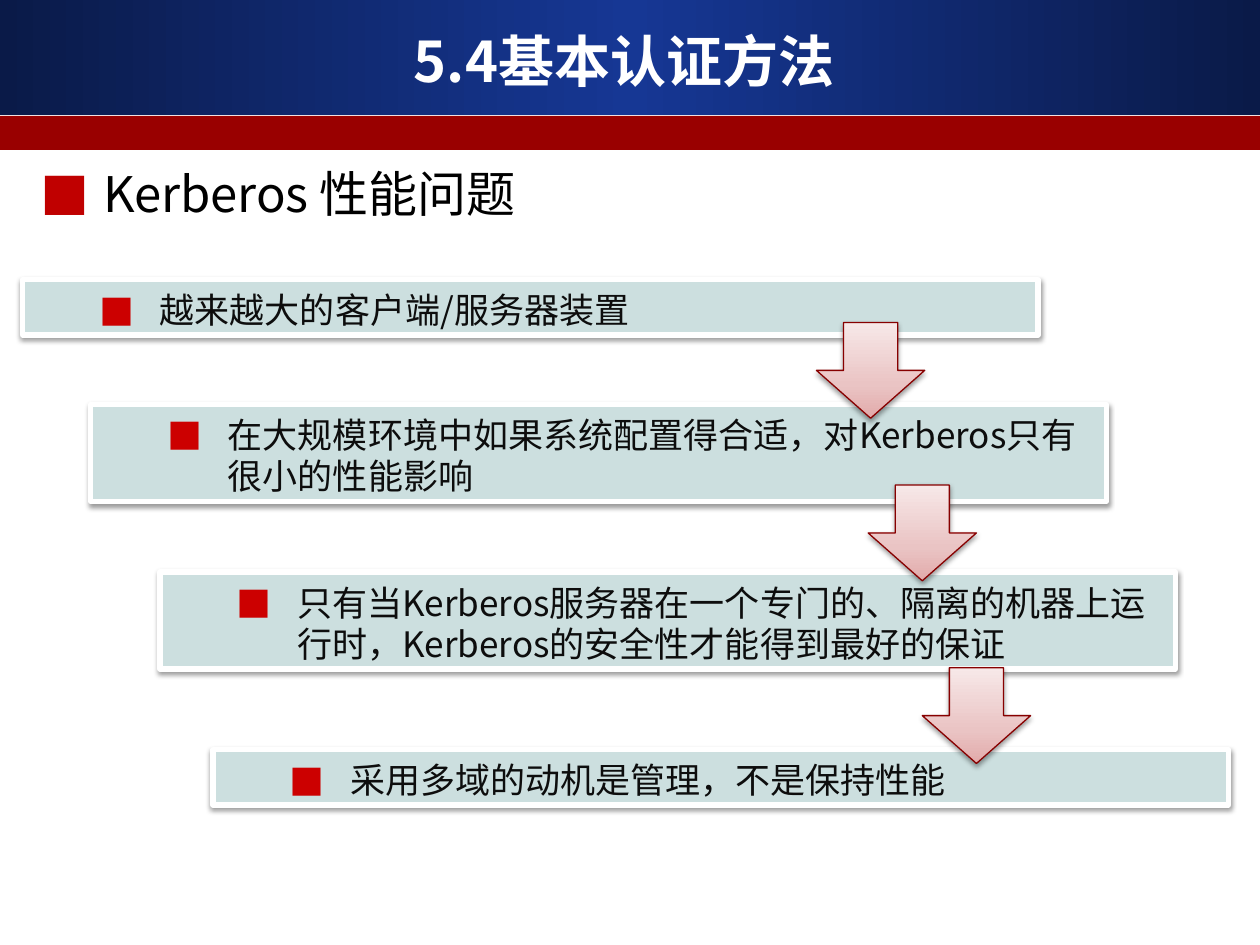
import pptx
import pptx.util
import pptx.dml.color
import pptx.enum.shapes
import pptx.enum.text
import pptx.oxml
import pptx.oxml.ns
import lxml.etree

Inches = pptx.util.Inches
Pt = pptx.util.Pt
RGBColor = pptx.dml.color.RGBColor
Shapes = pptx.enum.shapes.MSO_SHAPE

FONT = "Noto Sans CJK SC"
WHITE = RGBColor(0xFF, 0xFF, 0xFF)
BLACK = RGBColor(0, 0, 0)
INK = RGBColor(0x0D, 0x0D, 0x0D)
NAVY = RGBColor(0x0A, 0x1A, 0x48)
BLUE = RGBColor(0x16, 0x37, 0x94)
BAND_RED = RGBColor(0x99, 0, 0)
HEADING_RED = RGBColor(0xC0, 0, 0)
STEP_RED = RGBColor(0xCC, 0, 0)
PALE_TEAL = RGBColor(0xCC, 0xDF, 0xDF)
ARROW_LINE = RGBColor(0x87, 0, 0)
ARROW_STOPS = [
    (0, RGBColor(0xE2, 0xAA, 0xAA)),
    (35, RGBColor(0xEA, 0xC4, 0xC4)),
    (100, RGBColor(0xF7, 0xE8, 0xE8)),
]
HEADER_STOPS = [(0, NAVY), (50, BLUE), (100, NAVY)]

STEP_WIDTH = 8.06
STEPS = [
    (0.18, 2.22, 0.44, "越来越大的客户端/服务器装置"),
    (0.72, 3.21, 0.77, "在大规模环境中如果系统配置得合适，对Kerberos只有很小的性能影响"),
    (1.27, 4.54, 0.77, "只有当Kerberos服务器在一个专门的、隔离的机器上运行时，Kerberos的安全性才能得到最好的保证"),
    (1.69, 5.95, 0.44, "采用多域的动机是管理，不是保持性能"),
]
ARROWS = [(6.48, 2.56), (6.89, 3.85), (7.32, 5.3)]


def add_child(parent, tag, **attributes):
    child = lxml.etree.SubElement(parent, pptx.oxml.ns.qn(tag))
    for name, value in attributes.items():
        child.set(name, str(value))
    return child


def add_box(page, kind, box, fill=None, line=None, line_width=0):
    shape = page.shapes.add_shape(kind, *map(Inches, box))
    shape.shadow.inherit = False
    if fill is not None:
        shape.fill.solid()
        shape.fill.fore_color.rgb = fill
    if line is None:
        shape.line.fill.background()
    else:
        shape.line.color.rgb = line
        shape.line.width = Pt(line_width)
    return shape


def fill_gradient(shape, stops, angle):
    shape.fill.gradient()
    shape.fill.gradient_angle = angle
    stop_list = shape.fill._fill._gradFill.find(pptx.oxml.ns.qn("a:gsLst"))
    for stop in list(stop_list):
        stop_list.remove(stop)
    for position, color in stops:
        stop = add_child(stop_list, "a:gs", pos=position * 1000)
        add_child(stop, "a:srgbClr", val=color)


def add_shadow(shape):
    effects = shape._element.spPr.find(pptx.oxml.ns.qn("a:effectLst"))
    shadow = add_child(effects, "a:outerShdw", blurRad=Pt(3.1), dist=Pt(1.6),
                       dir=90 * 60000, rotWithShape=0)
    color = add_child(shadow, "a:srgbClr", val=BLACK)
    add_child(color, "a:alpha", val=38000)


def write(shape, text, size, color, align, bold=False):
    frame = shape.text_frame
    frame.word_wrap = True
    frame.text = text
    para = frame.paragraphs[0]
    para.alignment = align
    span = para.runs[0]
    span.font.name = FONT
    span.font.size = Pt(size)
    span.font.bold = bold
    span.font.color.rgb = color
    add_child(span.font._element, "a:ea", typeface=FONT)
    return para


def add_bullet(para, indent, hanging, color):
    properties = para._p.get_or_add_pPr()
    properties.set("marL", str(Inches(indent)))
    properties.set("indent", str(-Inches(hanging)))
    add_child(add_child(properties, "a:buClr"), "a:srgbClr", val=color)
    add_child(properties, "a:buFont", typeface=FONT)
    add_child(properties, "a:buChar", char="■")


def draw_header(page, left, top, width):
    banner = add_box(page, Shapes.RECTANGLE, (left, top, width, 0.91))
    fill_gradient(banner, HEADER_STOPS, 0)
    add_box(page, Shapes.RECTANGLE, (left, top + 0.92, width, 0.27), BAND_RED)
    title = page.shapes.add_textbox(
        *map(Inches, (left + 0.33, top + 0.17, 9.25, 0.62)))
    title.text_frame.vertical_anchor = pptx.enum.text.MSO_ANCHOR.MIDDLE
    write(title, "5.4基本认证方法", 32, WHITE, pptx.enum.text.PP_ALIGN.CENTER, True)


def draw_heading(page, box):
    heading = add_box(page, Shapes.RECTANGLE, box, WHITE, WHITE, 2)
    heading.text_frame.vertical_anchor = pptx.enum.text.MSO_ANCHOR.MIDDLE
    para = write(heading, "Kerberos 性能问题", 28, BLACK, pptx.enum.text.PP_ALIGN.LEFT)
    add_bullet(para, 0.5, 0.5, HEADING_RED)


def draw_step(page, box, text):
    step = add_box(page, Shapes.RECTANGLE, box, PALE_TEAL, WHITE, 3)
    add_shadow(step)
    step.text_frame.vertical_anchor = pptx.enum.text.MSO_ANCHOR.TOP
    step.text_frame.margin_top = Inches(0.08)
    step.text_frame.margin_bottom = 0
    para = write(step, text, 20, INK, pptx.enum.text.PP_ALIGN.LEFT)
    para.level = 1
    para.line_spacing = Pt(23.5)
    add_bullet(para, 0.99, 0.48, STEP_RED)


def draw_arrow(page, box):
    arrow = add_box(page, Shapes.DOWN_ARROW, box, None, ARROW_LINE, 0.75)
    fill_gradient(arrow, ARROW_STOPS, 90)
    add_shadow(arrow)


def main():
    deck = pptx.Presentation()
    deck.slide_width = Inches(10)
    deck.slide_height = Inches(7.5)
    page = deck.slides.add_slide(deck.slide_layouts[6])
    draw_header(page, 0, 0, 10)
    draw_heading(page, (0.22, 1.25, 9.02, 0.57))
    for left, top, height, text in STEPS:
        draw_step(page, (left, top, STEP_WIDTH, height), text)
    for left, top in ARROWS:
        draw_arrow(page, (left, top, 0.86, 0.76))
    deck.save("out.pptx")


if __name__ == "__main__":
    main()
